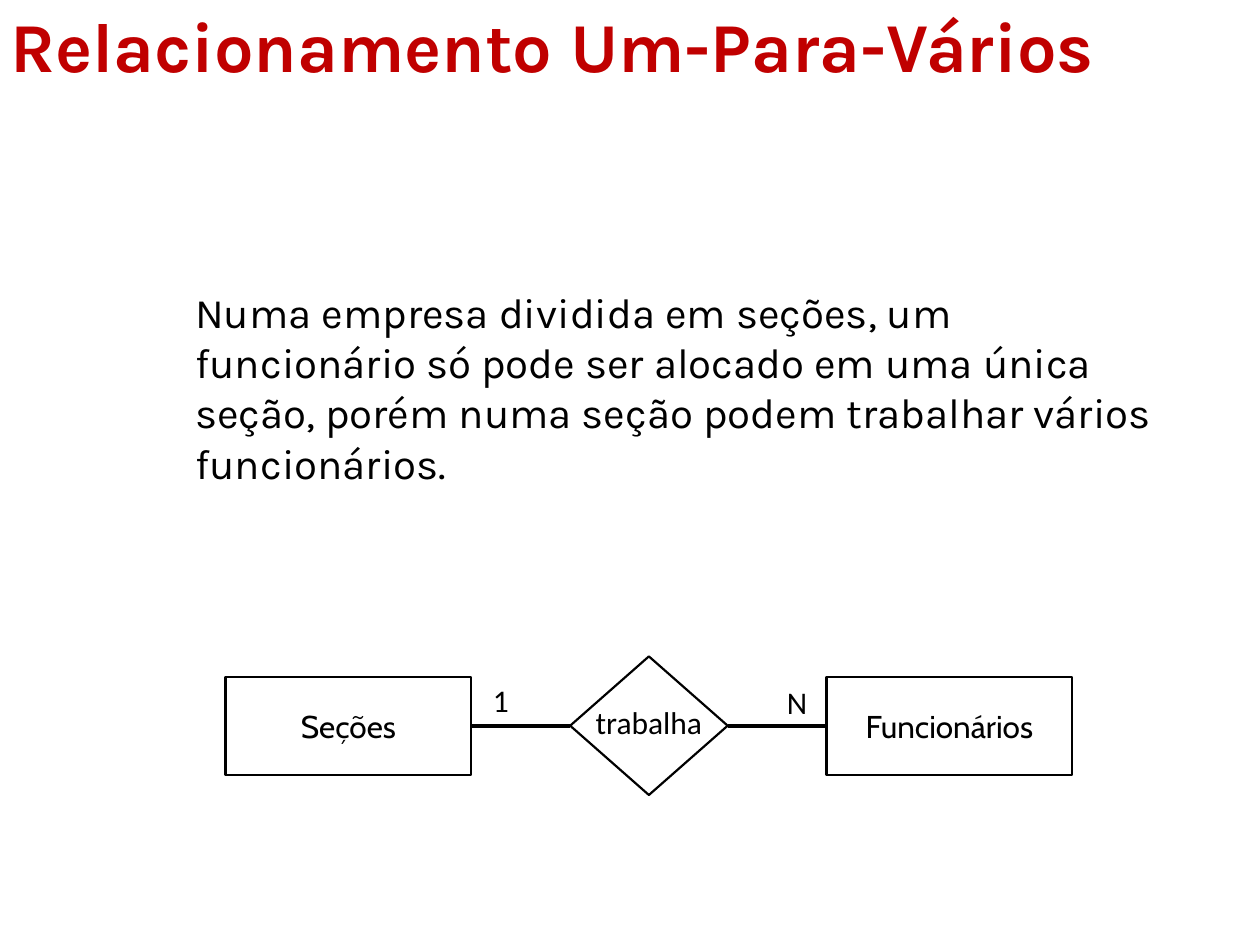
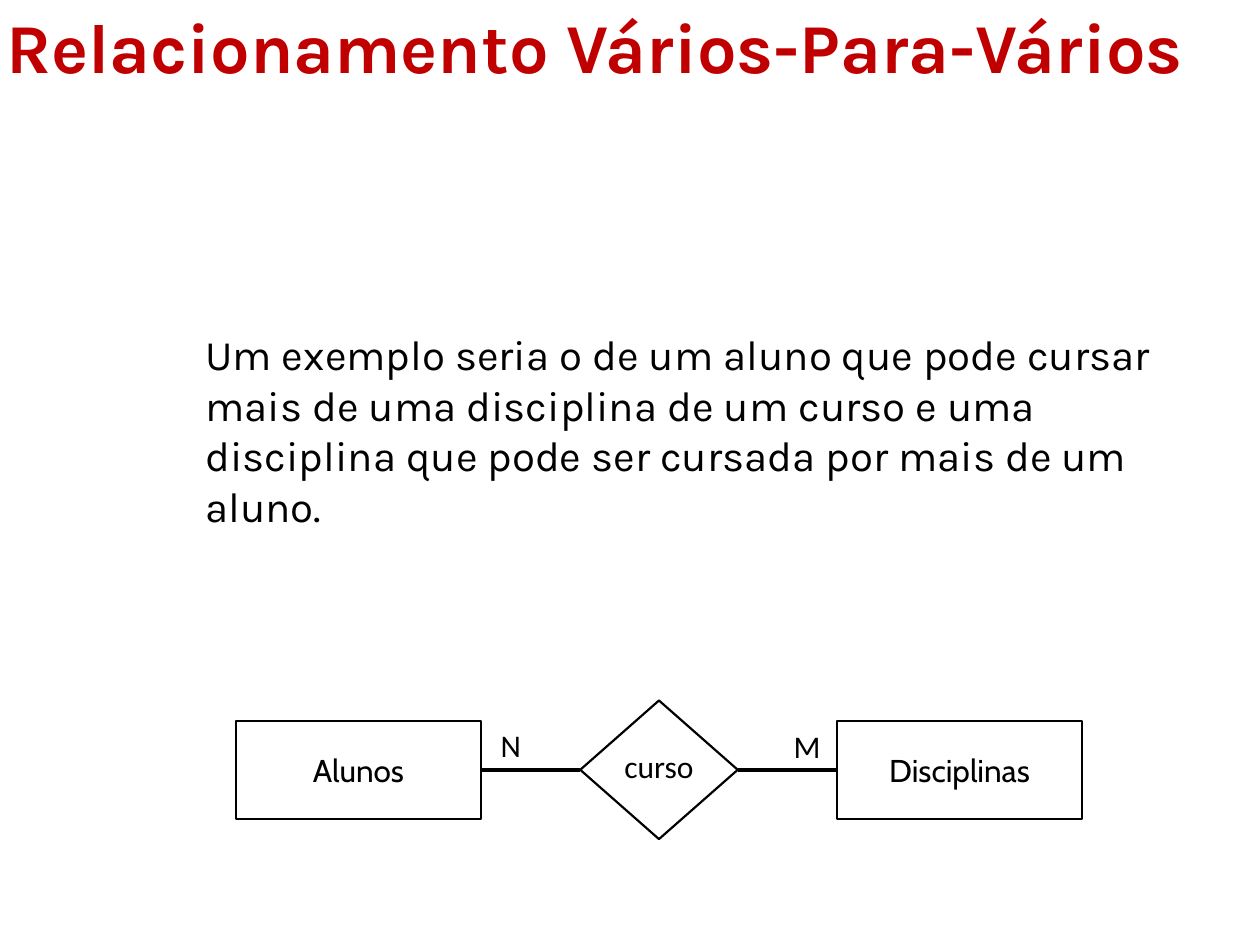
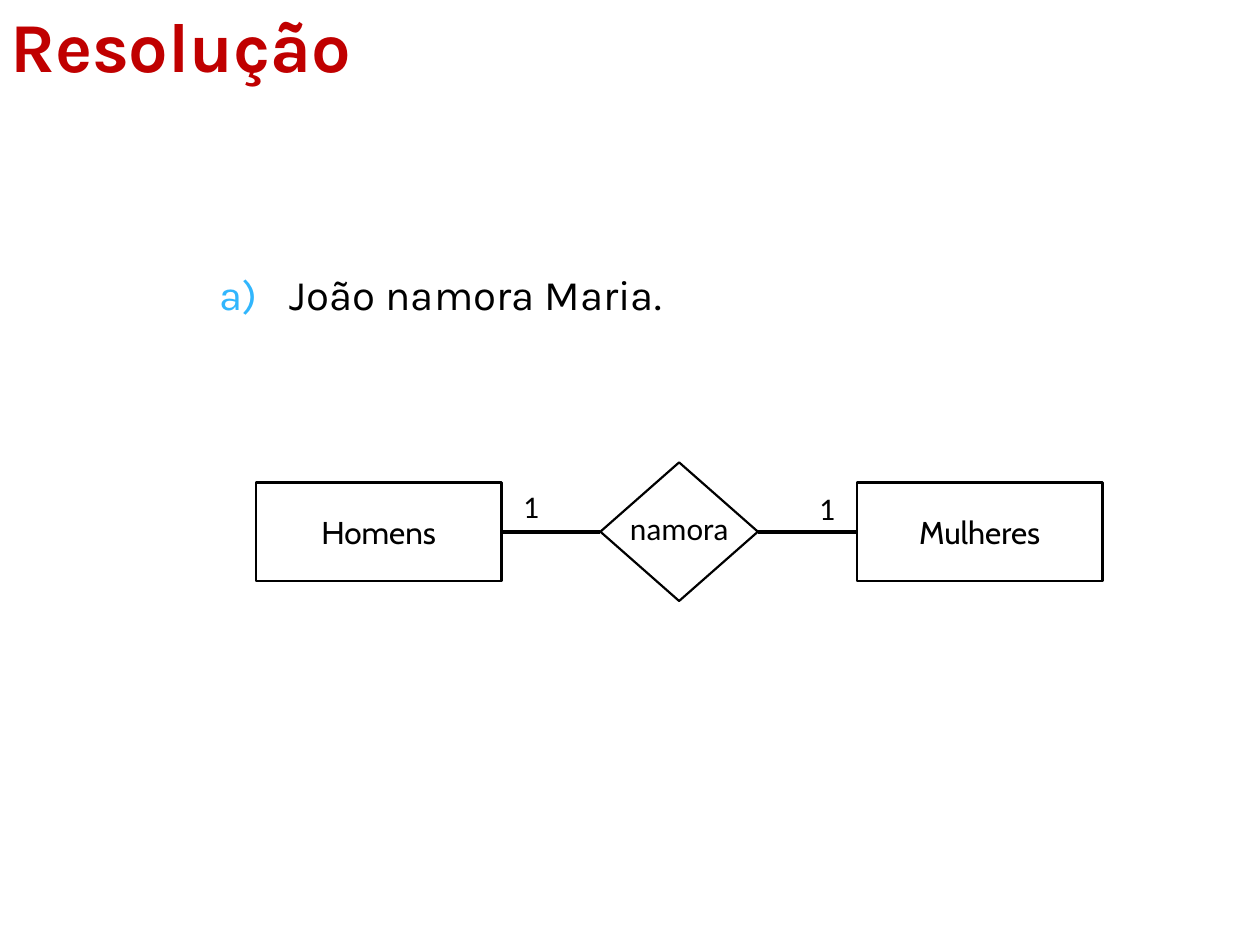
from dataclasses import dataclass

import pptx
import pptx.dml.color
import pptx.enum.shapes
import pptx.enum.text
import pptx.oxml
import pptx.oxml.ns
import pptx.util
from pptx.util import Inches

RED = pptx.dml.color.RGBColor(0xC0, 0x00, 0x00)
BLACK = pptx.dml.color.RGBColor(0x00, 0x00, 0x00)
WHITE = pptx.dml.color.RGBColor(0xFF, 0xFF, 0xFF)
SKY_BLUE = pptx.dml.color.RGBColor(0x31, 0xB6, 0xFD)

TEXT_FONT = "Karla"
ENTITY_FONT = "Cabin"
LABEL_FONT = "Calibri"

ENTITY_WIDTH, ENTITY_HEIGHT = 1.95, 0.78
DIAMOND_WIDTH, DIAMOND_HEIGHT = 1.25, 1.1
LINK_LENGTH = 0.785
CARDINALITY_WIDTH, LABEL_HEIGHT = 0.47, 0.4
RELATION_WIDTH = 1.09

SHAPE = pptx.enum.shapes.MSO_SHAPE
ANCHOR = pptx.enum.text.MSO_ANCHOR
ALIGN = pptx.enum.text.PP_ALIGN


@dataclass
class Area:
    left: float
    top: float
    width: float
    height: float

    def lengths(self) -> tuple:
        return tuple(Inches(n) for n in (self.left, self.top, self.width, self.height))


@dataclass
class Relationship:
    left: float
    top: float
    entities: tuple[str, str]
    name: str
    cardinalities: tuple[str, str]


@dataclass
class Lesson:
    title: str
    title_area: Area
    body: str
    body_area: Area
    relationship: Relationship
    lettered: bool = False


LESSONS = [
    Lesson(
        "Relacionamento Um-Para-Vários", Area(0, 0, 10.2, 0.6),
        "Numa empresa dividida em seções, um funcionário só pode ser alocado em uma "
        "única seção, porém numa seção podem trabalhar vários funcionários.",
        Area(1.17, 2.27, 8.2, 2.32),
        Relationship(1.79, 5.21, ("Seções", "Funcionários"), "trabalha", ("1", "N")),
    ),
    Lesson(
        "Relacionamento Vários-Para-Vários", Area(-0.03, 0.01, 10.03, 0.59),
        "Um exemplo seria o de um aluno que pode cursar mais de uma disciplina de um "
        "curso e uma disciplina que pode ser cursada por mais de um aluno.",
        Area(1.25, 2.61, 8.2, 2.32),
        Relationship(1.87, 5.56, ("Alunos", "Disciplinas"), "curso", ("N", "M")),
    ),
    Lesson(
        "Resolução", Area(0, 0, 9, 0.6),
        "João namora Maria.", Area(1.57, 2.13, 8.2, 0.92),
        Relationship(2.03, 3.67, ("Homens", "Mulheres"), "namora", ("1", "1")),
        lettered=True,
    ),
]


def write(shape, text: str, font: str, size: float, color=BLACK, bold=False,
          align=ALIGN.LEFT, anchor=ANCHOR.TOP):
    """Put one run into the shape and return its paragraph."""
    frame = shape.text_frame
    frame.word_wrap = True
    frame.vertical_anchor = anchor
    para = frame.paragraphs[0]
    para.alignment = align
    span = para.add_run()
    span.text = text
    span.font.name = font
    span.font.size = pptx.util.Pt(size)
    span.font.bold = bold
    span.font.color.rgb = color
    return para


def set_margins(box, side: float, top: float) -> None:
    frame = box.text_frame
    frame.margin_left = frame.margin_right = Inches(side)
    frame.margin_top = frame.margin_bottom = Inches(top)


def add_title(page, text: str, area: Area) -> None:
    box = page.shapes.add_textbox(*area.lengths())
    set_margins(box, 0.08, 0.02)
    write(box, text, TEXT_FONT, 40, RED, bold=True)


def add_body(page, text: str, area: Area, lettered: bool) -> None:
    box = page.shapes.add_textbox(*area.lengths())
    set_margins(box, 0.08, 0)
    para = write(box, text, TEXT_FONT, 24)
    para.space_before = pptx.util.Pt(6)
    properties = para._p.get_or_add_pPr()
    properties.set("marL", str(Inches(0.65 if lettered else 0.3)))
    if lettered:
        properties.set("indent", str(Inches(-0.56)))
        namespace = pptx.oxml.ns.nsdecls("a")
        for xml in (
            f'<a:buClr {namespace}><a:srgbClr val="{SKY_BLUE}"/></a:buClr>',
            f'<a:buFont {namespace} typeface="{TEXT_FONT}"/>',
            f'<a:buAutoNum {namespace} type="alphaLcParenR"/>',
        ):
            properties.append(pptx.oxml.parse_xml(xml))


def add_outlined(group, kind, area: Area):
    shape = group.shapes.add_shape(kind, *area.lengths())
    shape.shadow.inherit = False
    shape.line.color.rgb = BLACK
    shape.line.width = pptx.util.Pt(1.25)
    return shape


def add_entity(group, name: str, left: float, top: float):
    entity = add_outlined(group, SHAPE.RECTANGLE,
                          Area(left, top, ENTITY_WIDTH, ENTITY_HEIGHT))
    entity.fill.solid()
    entity.fill.fore_color.rgb = WHITE
    write(entity, name, ENTITY_FONT, 18, align=ALIGN.CENTER, anchor=ANCHOR.MIDDLE)
    return entity


def add_label(group, text: str, left: float, top: float, width: float) -> None:
    box = group.shapes.add_textbox(*Area(left, top, width, LABEL_HEIGHT).lengths())
    write(box, text, LABEL_FONT, 18, align=ALIGN.CENTER)
    box.text_frame.auto_size = pptx.enum.text.MSO_AUTO_SIZE.SHAPE_TO_FIT_TEXT


def add_link(group, start, end) -> None:
    """Join the right side of start to the left side of end."""
    link = group.shapes.add_connector(
        pptx.enum.shapes.MSO_CONNECTOR.STRAIGHT,
        start.left + start.width, start.top + start.height // 2,
        end.left, end.top + end.height // 2)
    link.begin_connect(start, 3)
    link.end_connect(end, 1)
    link.line.color.rgb = BLACK
    link.line.width = pptx.util.Pt(2.25)
    properties = link._element.spPr
    properties.append(properties.makeelement(pptx.oxml.ns.qn("a:effectLst"), {}))


def add_relationship(page, relationship: Relationship) -> None:
    group = page.shapes.add_group_shape()
    left, top = relationship.left, relationship.top
    entity_top = top + (DIAMOND_HEIGHT - ENTITY_HEIGHT) / 2
    first_edge = left + ENTITY_WIDTH
    diamond_left = first_edge + LINK_LENGTH
    second_left = diamond_left + DIAMOND_WIDTH + LINK_LENGTH

    first = add_entity(group, relationship.entities[0], left, entity_top)
    second = add_entity(group, relationship.entities[1], second_left, entity_top)
    diamond = add_outlined(group, SHAPE.DIAMOND,
                           Area(diamond_left, top, DIAMOND_WIDTH, DIAMOND_HEIGHT))
    diamond.fill.background()
    add_label(group, relationship.name,
              diamond_left + (DIAMOND_WIDTH - RELATION_WIDTH) / 2, top + 0.32,
              RELATION_WIDTH)
    add_link(group, first, diamond)
    add_link(group, diamond, second)
    near, far = relationship.cardinalities
    add_label(group, near, first_edge, top + 0.15, CARDINALITY_WIDTH)
    add_label(group, far, second_left - CARDINALITY_WIDTH, entity_top, CARDINALITY_WIDTH)


def main() -> None:
    deck = pptx.Presentation()
    deck.slide_width, deck.slide_height = Inches(10), Inches(7.5)
    for lesson in LESSONS:
        page = deck.slides.add_slide(deck.slide_layouts[6])
        add_body(page, lesson.body, lesson.body_area, lesson.lettered)
        add_title(page, lesson.title, lesson.title_area)
        add_relationship(page, lesson.relationship)
    deck.save("out.pptx")


if __name__ == "__main__":
    main()
